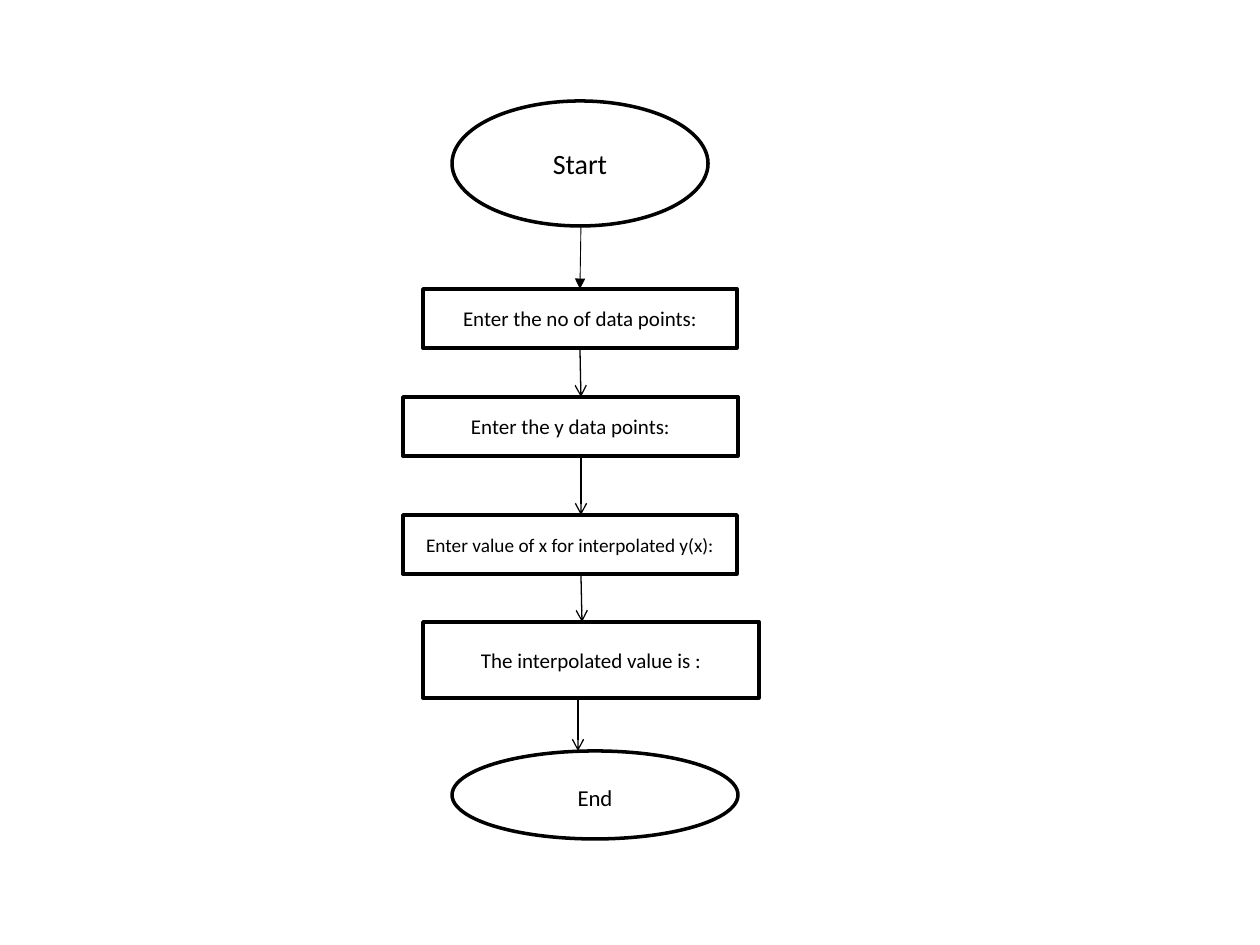
from dataclasses import dataclass
from itertools import pairwise

from lxml import etree
from pptx import Presentation
from pptx.dml.color import RGBColor
from pptx.enum.shapes import MSO_CONNECTOR, MSO_SHAPE
from pptx.enum.text import MSO_ANCHOR, PP_ALIGN
from pptx.oxml.ns import qn
from pptx.util import Pt

OVAL, RECTANGLE = MSO_SHAPE.OVAL, MSO_SHAPE.RECTANGLE
STRAIGHT = MSO_CONNECTOR.STRAIGHT
MIDDLE, CENTER = MSO_ANCHOR.MIDDLE, PP_ALIGN.CENTER
TOP, BOTTOM = 0, 2
PX = 914400 // 126


@dataclass(frozen=True)
class Theme:
    font: str = "Calibri"
    ink: RGBColor = RGBColor(0, 0, 0)
    paper: RGBColor = RGBColor(255, 255, 255)
    outline: float = 2
    start: int = 16
    end: int = 13
    step: int = 12
    long_step: int = 11


THEME = Theme()

# text, shape, (left, top, width, height) in px, text format
STEPS = [
    ("Start", OVAL, (452, 101, 256, 125), {"size": THEME.start}),
    ("Enter the no of data points:", RECTANGLE, (423, 289, 314, 59), {"size": THEME.step}),
    ("Enter the y data points:", RECTANGLE, (403, 397, 335, 59), {"size": THEME.step}),
    ("Enter value of x for interpolated y(x):", RECTANGLE, (403, 515, 334, 59),
     {"size": THEME.long_step}),
    ("The interpolated value is :", RECTANGLE, (423, 622, 336, 76), {"size": THEME.step}),
    ("End", OVAL, (452, 751, 286, 88),
     {"size": THEME.end, "line_spacing": 1.15, "space_after": 10}),
]

# start x, end x in px, line width, arrowhead, joined at start, joined at end
ARROWS = [
    (581, 580, 0.5, "triangle", False, True),
    (581, 581, 0.75, "arrow", True, False),
    (581, 581, 0.75, "arrow", False, False),
    (581, 582, 0.75, "arrow", False, False),
    (578, 578, 0.75, "arrow", False, False),
]


def write_text(shape, text, *, size, line_spacing=None, space_after=None):
    frame = shape.text_frame
    frame.word_wrap = True
    frame.vertical_anchor = MIDDLE
    para = frame.paragraphs[0]
    para.alignment = CENTER
    if line_spacing is not None:
        para.line_spacing = line_spacing
    if space_after is not None:
        para.space_after = Pt(space_after)
    span = para.add_run()
    span.text = text
    span.font.name = THEME.font
    span.font.size = Pt(size)
    span.font.color.rgb = THEME.ink


def add_step(page, text, kind, place, text_format):
    shape = page.shapes.add_shape(kind, *(length * PX for length in place))
    shape.shadow.inherit = False
    shape.fill.solid()
    shape.fill.fore_color.rgb = THEME.paper
    shape.line.color.rgb = THEME.ink
    shape.line.width = Pt(THEME.outline)
    write_text(shape, text, **text_format)
    return shape


def add_arrow(page, upper, lower, start_x, end_x, width, head, join_start, join_end):
    arrow = page.shapes.add_connector(
        STRAIGHT, start_x * PX, upper.top + upper.height, end_x * PX, lower.top)
    if join_start:
        arrow.begin_connect(upper, BOTTOM)
    if join_end:
        arrow.end_connect(lower, TOP)
    arrow.line.color.rgb = THEME.ink
    arrow.line.width = Pt(width)
    etree.SubElement(arrow.line._get_or_add_ln(), qn("a:tailEnd"), type=head)
    etree.SubElement(arrow._element.spPr, qn("a:effectLst"))


def main():
    deck = Presentation()
    deck.slide_width, deck.slide_height = 1260 * PX, 945 * PX
    page = deck.slides.add_slide(deck.slide_layouts[6])
    shapes = [add_step(page, *step) for step in STEPS]
    for (upper, lower), arrow in zip(pairwise(shapes), ARROWS):
        add_arrow(page, upper, lower, *arrow)
    deck.save("out.pptx")


if __name__ == "__main__":
    main()
